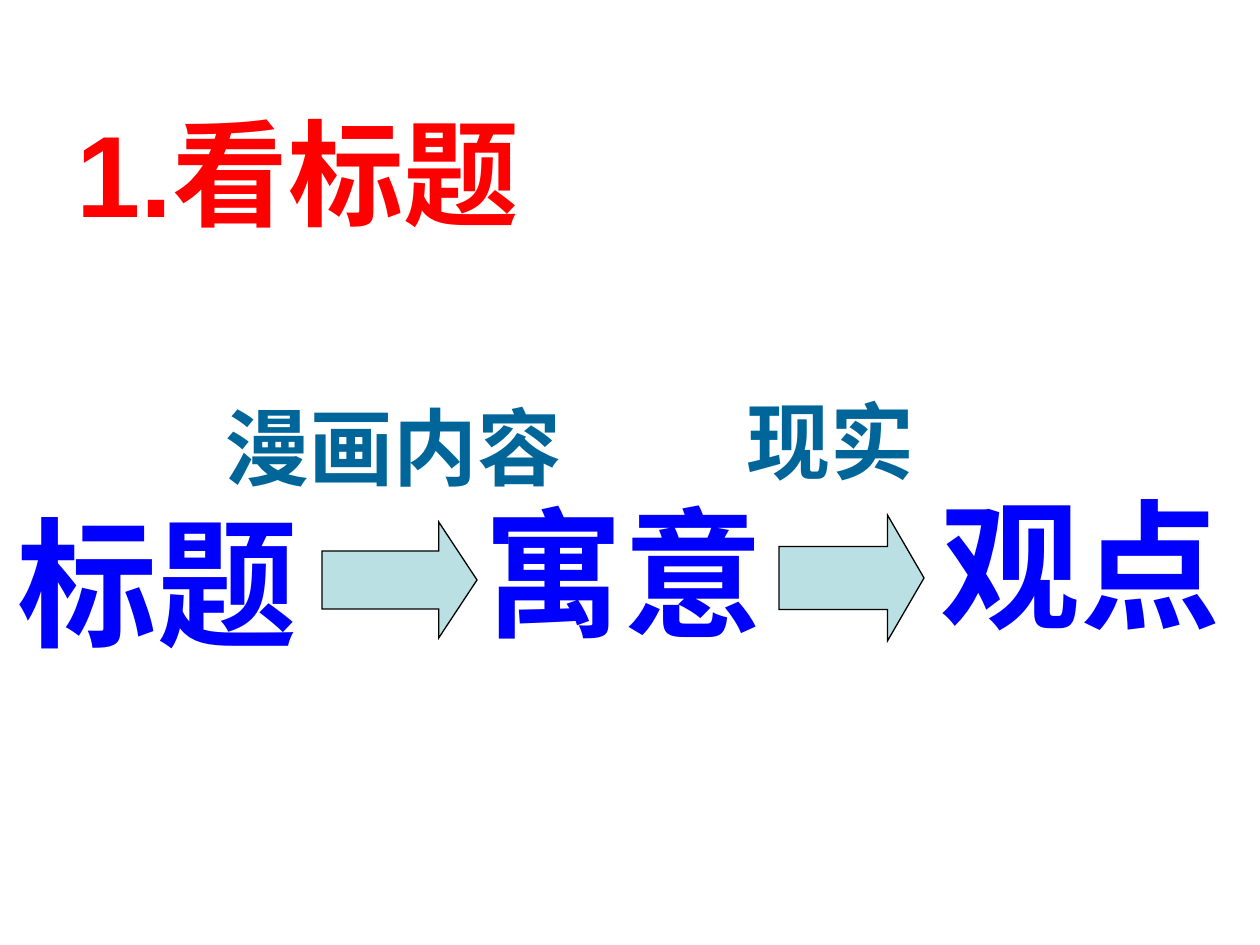
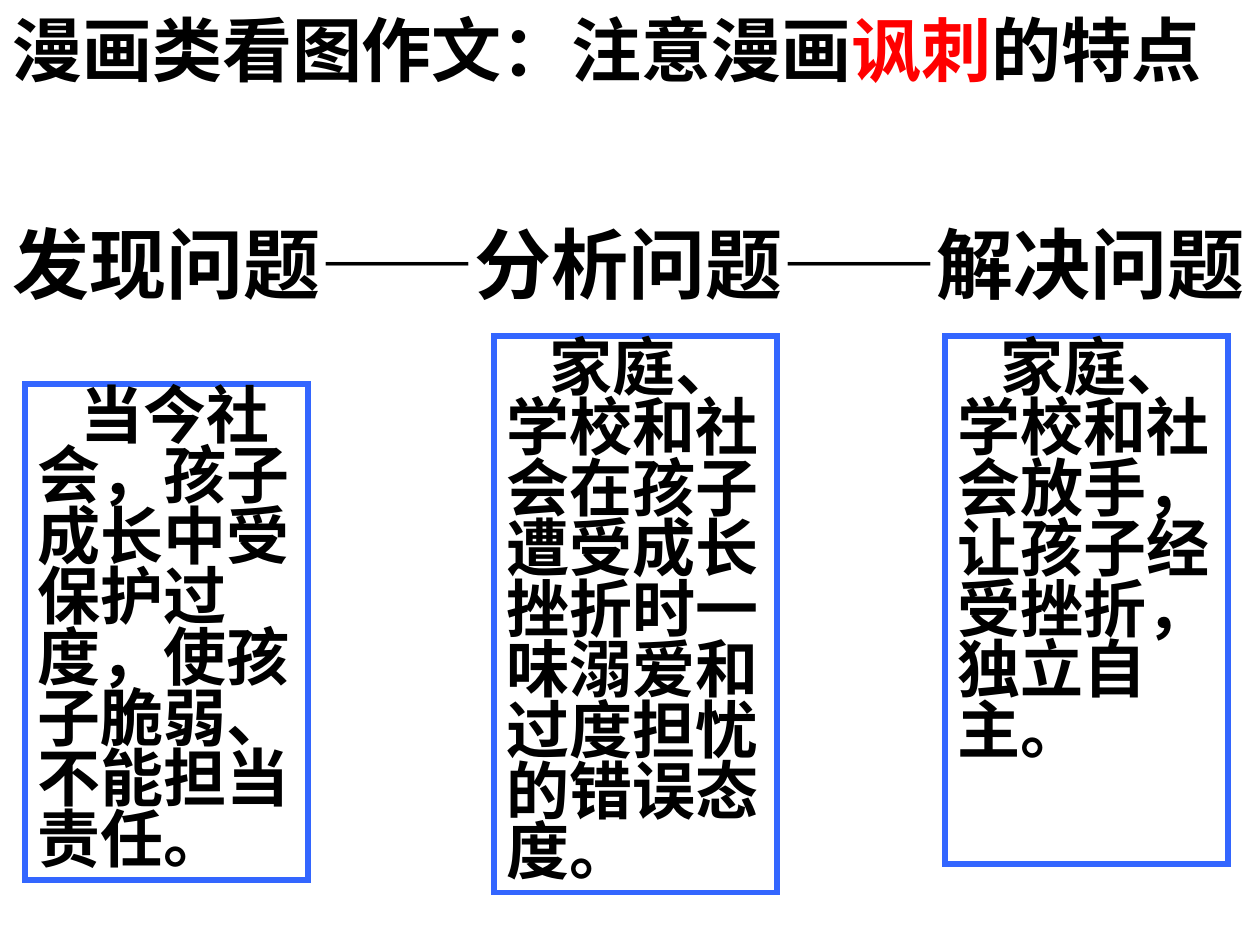
import pptx
import pptx.dml.color
import pptx.enum.lang
import pptx.enum.shapes
import pptx.enum.text
import pptx.oxml
import pptx.util

LATIN = "Arial"
HAN = "Noto Sans CJK SC"
BLACK = "000000"
RED = "FF0000"
BLUE = "0000FF"
TEAL = "006699"
ARROW_FILL = "BBE0E3"
BORDER = "3366FF"
LINE_PITCH = 1.2
NAMESPACE = 'xmlns:a="http://schemas.openxmlformats.org/drawingml/2006/main"'


def px(length):
    return pptx.util.Inches(length / 126)


def color(hex_code):
    return pptx.dml.color.RGBColor.from_string(hex_code)


def prepare_frame(frame):
    frame.word_wrap = True
    frame.auto_size = pptx.enum.text.MSO_AUTO_SIZE.NONE
    frame.vertical_anchor = pptx.enum.text.MSO_ANCHOR.TOP
    return frame


def write(paragraph, pieces, size, font=LATIN, east_asian=LATIN, pitch=LINE_PITCH):
    paragraph.alignment = pptx.enum.text.PP_ALIGN.LEFT
    paragraph.line_spacing = pptx.util.Pt(round(size * pitch, 1))
    for words, hue in pieces:
        run = paragraph.add_run()
        run.text = words
        run.font.name = font
        run.font.size = pptx.util.Pt(size)
        run.font.bold = True
        run.font.color.rgb = color(hue)
        run.font.language_id = pptx.enum.lang.MSO_LANGUAGE_ID.SIMPLIFIED_CHINESE
        typeface = pptx.oxml.parse_xml(f'<a:ea {NAMESPACE} typeface="{east_asian}"/>')
        run.font._element.append(typeface)


def add_label(slide, box, words, size, hue, pitch=LINE_PITCH):
    label = slide.shapes.add_textbox(*map(px, box))
    frame = prepare_frame(label.text_frame)
    write(frame.paragraphs[0], [(words, hue)], size, pitch=pitch)


def add_outlined(slide, preset, box, line_hue, line_width):
    outlined = slide.shapes.add_shape(preset, *map(px, box))
    outlined.shadow.inherit = False
    outlined.line.color.rgb = color(line_hue)
    outlined.line.width = pptx.util.Pt(line_width)
    miter = pptx.oxml.parse_xml(f'<a:miter {NAMESPACE} lim="800000"/>')
    outlined.line._get_or_add_ln().append(miter)
    return outlined


def add_arrow(slide, box, head):
    preset = pptx.enum.shapes.MSO_SHAPE.RIGHT_ARROW
    arrow = add_outlined(slide, preset, box, BLACK, 0.75)
    arrow.fill.solid()
    arrow.fill.fore_color.rgb = color(ARROW_FILL)
    arrow.adjustments[0] = 0.5
    arrow.adjustments[1] = head


def add_answer(slide, box, words):
    preset = pptx.enum.shapes.MSO_SHAPE.RECTANGLE
    answer = add_outlined(slide, preset, box, BORDER, 3)
    answer.fill.background()
    paragraph = prepare_frame(answer.text_frame).paragraphs[0]
    properties = paragraph._p.get_or_add_pPr()
    properties.set("indent", str(px(43)))
    properties.set("hangingPunct", "0")
    write(paragraph, [(words, BLACK)], 36, pitch=0.96)


def build_reading_steps(slide):
    add_label(slide, (64, 105, 1196, 258), "1.看标题", 66, RED, pitch=1.12)
    for words, left, top, width in (
        ("标题", 5, 490, 675),
        ("寓意", 471, 480, 625),
        ("观点", 928, 472, 332),
    ):
        add_label(slide, (left, top, width, 181), words, 80, BLUE)
    add_arrow(slide, (322, 522, 155, 116), 0.33)
    add_arrow(slide, (779, 515, 145, 126), 0.29)
    add_label(slide, (213, 389, 546, 113), "漫画内容", 48, TEAL)
    add_label(slide, (734, 383, 451, 113), "现实", 48, TEAL)


def build_problem_chain(slide):
    heading = slide.shapes.add_textbox(0, 0, px(1260), px(945))
    frame = prepare_frame(heading.text_frame)
    frame.margin_right = 0
    topic = [("漫画类看图作文：注意漫画", BLACK), ("讽刺", RED), ("的特点", BLACK)]
    write(frame.paragraphs[0], topic, 40, HAN)
    chain = frame.add_paragraph()
    chain.space_before = pptx.util.Pt(72)
    write(chain, [("发现问题——分析问题——解决问题", BLACK)], 44, HAN, HAN)

    for left, top, height, words in (
        (25, 384, 496, "当今社会，孩子成长中受保护过度，使孩子脆弱、不能担当责任。"),
        (494, 336, 557, "家庭、学校和社会在孩子遭受成长挫折时一味溺爱和过度担忧的错误态度。"),
        (945, 336, 528, "家庭、学校和社会放手，让孩子经受挫折，独立自主。"),
    ):
        add_answer(slide, (left, top, 283, height), words)


def main():
    deck = pptx.Presentation()
    deck.slide_width = px(1260)
    deck.slide_height = px(945)
    for build in (build_reading_steps, build_problem_chain):
        build(deck.slides.add_slide(deck.slide_layouts[6]))
    deck.save("out.pptx")


if __name__ == "__main__":
    main()
